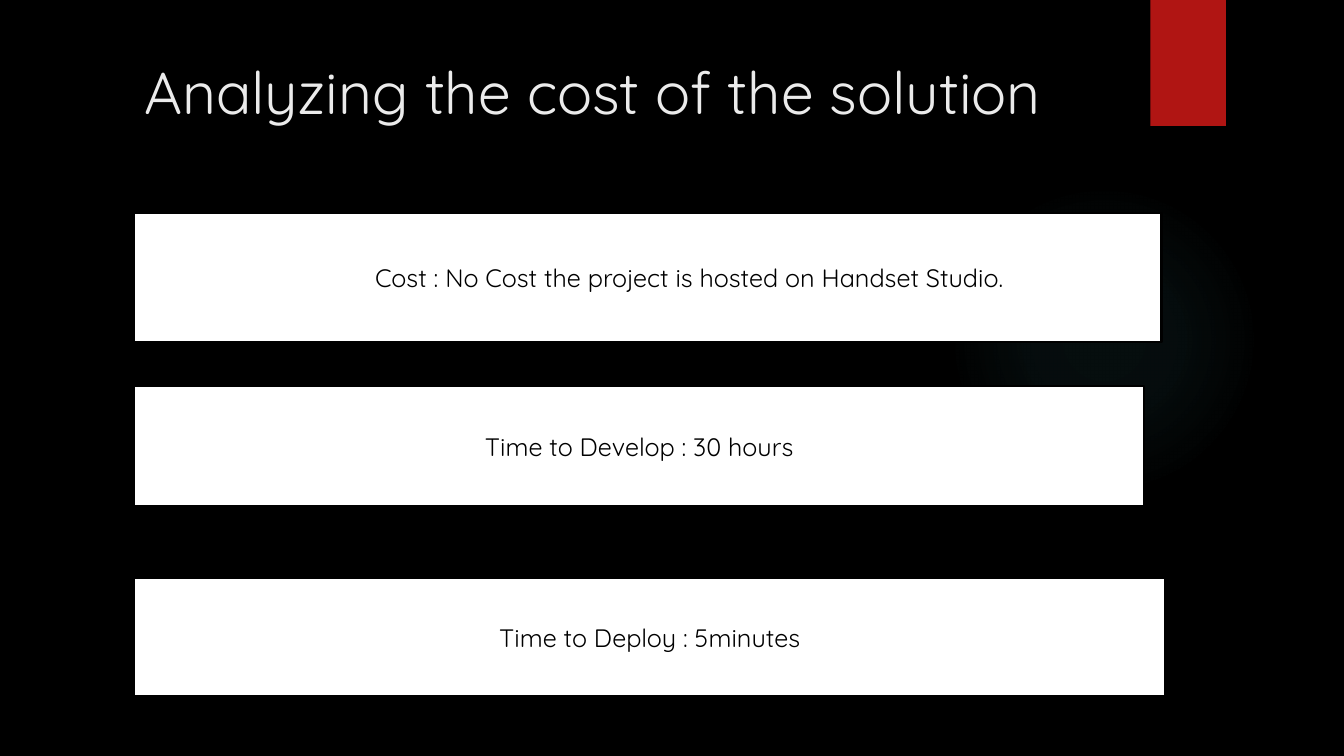
"""Build the slide on the cost of the solution."""
from dataclasses import dataclass

from pptx import Presentation
from pptx.dml.color import RGBColor as RGB
from pptx.enum.shapes import MSO_SHAPE as SHAPE
from pptx.enum.text import MSO_ANCHOR as ANCHOR, MSO_AUTO_SIZE as AUTO, PP_ALIGN as ALIGN
from pptx.oxml import parse_xml
from pptx.oxml.ns import nsdecls
from pptx.util import Inches, Pt

TITLE = "Analyzing the cost of the solution"
TITLE_BOX = (0.71, 0.5, 10.29, 1.53)
CARD_LEFT = 1.33
CARDS = [
    {"text": "Cost : No Cost the project is hosted on Handset Studio.",
     "top": 2.11, "width": 10.19, "height": 1.28, "inset": 0.92},
    {"text": "Time to Develop : 30 hours",
     "top": 3.83, "width": 10.02, "height": 1.19, "inset": 0.1},
    {"text": "Time to Deploy : 5minutes",
     "top": 5.73, "width": 10.23, "height": 1.18, "inset": 0.1},
]
GLOW_BOX = (9.41, 1.83, 3.08, 3.08)
GLOW_STOPS = [(0, 7), (36, 6), (69, 0)]
RIBBON_BOX = (11.41, 0, 0.75, 1.25)


@dataclass(frozen=True)
class Theme:
    font: str = "Quicksand"
    back: str = "000000"
    ink: str = "000000"
    card: str = "FFFFFF"
    title: str = "EBEBEB"
    ribbon: str = "B01513"
    glow: str = "50B9C1"
    title_size: float = 42
    card_size: float = 18
    outline: float = 1.5


THEME = Theme()


def color(value):
    return RGB.from_string(value)


def write(sp, text, *, size, ink, align, anchor, inset=0.1):
    tf = sp.text_frame
    tf.word_wrap = True
    tf.auto_size = AUTO.NONE
    tf.vertical_anchor = anchor
    tf.margin_left = Inches(inset)
    tf.margin_right = Inches(0.1)
    tf.margin_top = tf.margin_bottom = Inches(0.05)
    p = tf.paragraphs[0]
    p.alignment = align
    p.line_spacing = 1.0
    p.space_before = Pt(0)
    r = p.add_run()
    r.text = text
    r.font.name = THEME.font
    r.font.size = Pt(size)
    r.font.color.rgb = color(ink)


def add_box(s, kind, box, fill=None, line=None):
    sp = s.shapes.add_shape(kind, *map(Inches, box))
    sp.shadow.inherit = False
    if fill:
        sp.fill.solid()
        sp.fill.fore_color.rgb = color(fill)
    else:
        sp.fill.background()
    if line:
        sp.line.color.rgb = color(line)
        sp.line.width = Pt(THEME.outline)
    else:
        sp.line.fill.background()
    return sp


def add_glow(s):
    sp = add_box(s, SHAPE.OVAL, GLOW_BOX)
    stops = "".join(
        f'<a:gs pos="{pos * 1000}"><a:srgbClr val="{THEME.glow}">'
        f'<a:alpha val="{alpha * 1000}"/></a:srgbClr></a:gs>'
        for pos, alpha in GLOW_STOPS)
    grad = parse_xml(
        f'<a:gradFill {nsdecls("a")} rotWithShape="1"><a:gsLst>{stops}</a:gsLst>'
        '<a:path path="circle"><a:fillToRect l="50000" t="50000" r="50000" b="50000"/>'
        '</a:path></a:gradFill>')
    props = sp.element.spPr
    props.replace(props.find("{*}noFill"), grad)


def main():
    prs = Presentation()
    prs.slide_width, prs.slide_height = Inches(13.33), Inches(7.5)
    s = prs.slides.add_slide(prs.slide_layouts[5])
    s.background.fill.solid()
    s.background.fill.fore_color.rgb = color(THEME.back)

    add_glow(s)
    add_box(s, SHAPE.RECTANGLE, RIBBON_BOX, THEME.ribbon)

    title = s.shapes.title
    title.left, title.top, title.width, title.height = map(Inches, TITLE_BOX)
    write(title, TITLE, size=THEME.title_size, ink=THEME.title,
          align=ALIGN.LEFT, anchor=ANCHOR.TOP, inset=0.72)

    for card in CARDS:
        box = (CARD_LEFT, card["top"], card["width"], card["height"])
        sp = add_box(s, SHAPE.RECTANGLE, box, THEME.card, THEME.ink)
        write(sp, card["text"], size=THEME.card_size, ink=THEME.ink,
              align=ALIGN.CENTER, anchor=ANCHOR.MIDDLE, inset=card["inset"])

    prs.save("out.pptx")


if __name__ == "__main__":
    main()
